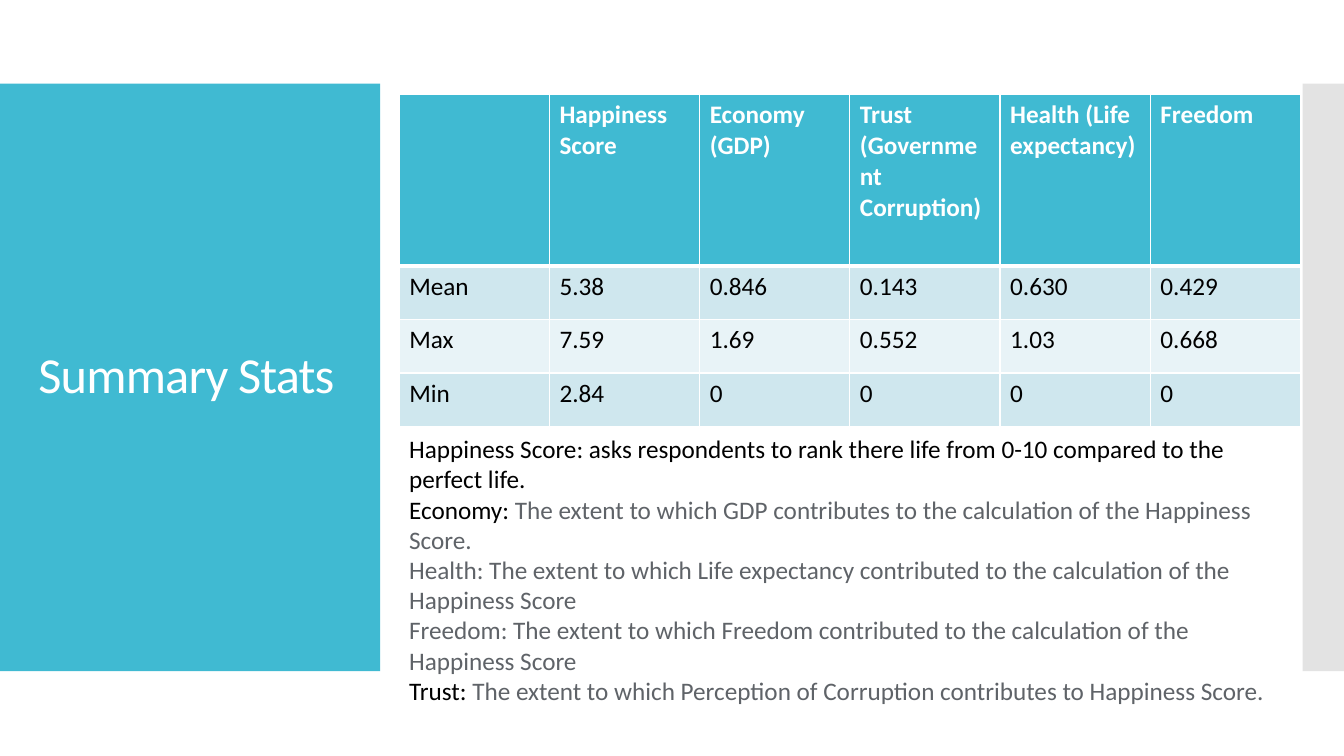
from lxml.etree import SubElement
from pptx import Presentation
from pptx.dml.color import RGBColor
from pptx.enum.shapes import MSO_SHAPE
from pptx.enum.text import MSO_ANCHOR, MSO_AUTO_SIZE, PP_ALIGN
from pptx.oxml.ns import qn
from pptx.util import Inches, Pt

TEAL = RGBColor(0x40, 0xBA, 0xD2)
PALE_TEAL = RGBColor(0xCF, 0xE7, 0xEE)
PALEST_TEAL = RGBColor(0xE8, 0xF3, 0xF7)
SILVER = RGBColor(0xC8, 0xC8, 0xC8)
GREY = RGBColor(0x5F, 0x63, 0x68)
BLACK = RGBColor(0, 0, 0)
WHITE = RGBColor(255, 255, 255)


def add_text(paragraph, text, size=18, color=BLACK, bold=False):
    run = paragraph.add_run()
    run.text = text
    run.font.name = "Calibri"
    run.font.size = Pt(size)
    run.font.bold = bold
    run.font.color.rgb = color
    return run


def add_border(cell, side, width):
    line = SubElement(cell._tc.get_or_add_tcPr(), qn(f"a:ln{side}"), w=str(Pt(width)))
    fill = SubElement(line, qn("a:solidFill"))
    SubElement(fill, qn("a:srgbClr"), val=str(WHITE))


prs = Presentation()
prs.slide_width, prs.slide_height = Inches(13.33), Inches(7.5)
slide = prs.slides.add_slide(prs.slide_layouts[5])
title = slide.shapes.title

# Side panels, placed behind the title
for left, width, color in [(0, 3.77, TEAL), (12.92, 0.41, SILVER)]:
    panel = slide.shapes.add_shape(
        MSO_SHAPE.RECTANGLE, Inches(left), Inches(0.83), Inches(width), Inches(5.83))
    panel.shadow.inherit = False
    panel.line.fill.background()
    panel.fill.solid()
    panel.fill.fore_color.rgb = color
    title.element.addprevious(panel.element)
    if color == SILVER:
        silver = panel.element.spPr.find(f"{qn('a:solidFill')}/{qn('a:srgbClr')}")
        SubElement(silver, qn("a:alpha"), val="50000")

# Title
title.left, title.top = Inches(0.28), Inches(1.23)
title.width, title.height = Inches(3.22), Inches(5.03)
title.text_frame.auto_size = MSO_AUTO_SIZE.NONE
title.text_frame.vertical_anchor = MSO_ANCHOR.MIDDLE
heading = title.text_frame.paragraphs[0]
heading.alignment = PP_ALIGN.LEFT
heading.line_spacing = 0.9
heading_run = add_text(heading, "Summary Stats", size=36, color=WHITE)
heading_run.font._element.set("spc", "-60")

# Statistics table
STATS = [
    ["", "Happiness Score", "Economy (GDP)", "Trust (Government Corruption)",
     "Health (Life expectancy)", "Freedom"],
    ["Mean", "5.38", "0.846", "0.143", "0.630", "0.429"],
    ["Max", "7.59", "1.69", "0.552", "1.03", "0.668"],
    ["Min", "2.84", "0", "0", "0", "0"],
]
stats_table = slide.shapes.add_table(
    len(STATS), len(STATS[0]), Inches(3.96), Inches(0.94), Inches(8.94), Inches(3.29)).table
for column in stats_table.columns:
    column.width = Inches(1.49)
for row_index, values in enumerate(STATS):
    is_header = row_index == 0
    stats_table.rows[row_index].height = Inches(1.7 if is_header else 0.53)
    row_fill = TEAL if is_header else PALE_TEAL if row_index % 2 else PALEST_TEAL
    for column_index, value in enumerate(values):
        cell = stats_table.cell(row_index, column_index)
        for side in "LRTB":
            thick = (is_header and side == "B") or (row_index == 1 and side == "T")
            add_border(cell, side, 3 if thick else 1)
        cell.fill.solid()
        cell.fill.fore_color.rgb = row_fill
        if value:
            add_text(cell.text_frame.paragraphs[0], value,
                     color=WHITE if is_header else BLACK, bold=is_header)

# Definitions of the measures
DEFINITIONS = [
    [("Happiness Score: asks respondents to rank there life from 0-10 "
      "compared to the perfect life.", BLACK)],
    [("Economy: ", BLACK),
     ("The extent to which GDP contributes to the calculation of the Happiness Score.", GREY)],
    [("Health: The extent to which Life expectancy contributed to the calculation "
      "of the Happiness Score", GREY)],
    [("Freedom: The extent to which Freedom contributed to the calculation "
      "of the Happiness Score", GREY)],
    [("Trust: ", BLACK),
     ("The extent to which Perception of Corruption contributes to Happiness Score.", GREY)],
]
definitions = slide.shapes.add_textbox(
    Inches(3.96), Inches(4.25), Inches(8.83), Inches(2.83)).text_frame
definitions.word_wrap = True
definitions.auto_size = MSO_AUTO_SIZE.SHAPE_TO_FIT_TEXT
for index, parts in enumerate(DEFINITIONS):
    definition = definitions.add_paragraph() if index else definitions.paragraphs[0]
    for text, color in parts:
        add_text(definition, text, color=color)

prs.save("out.pptx")
